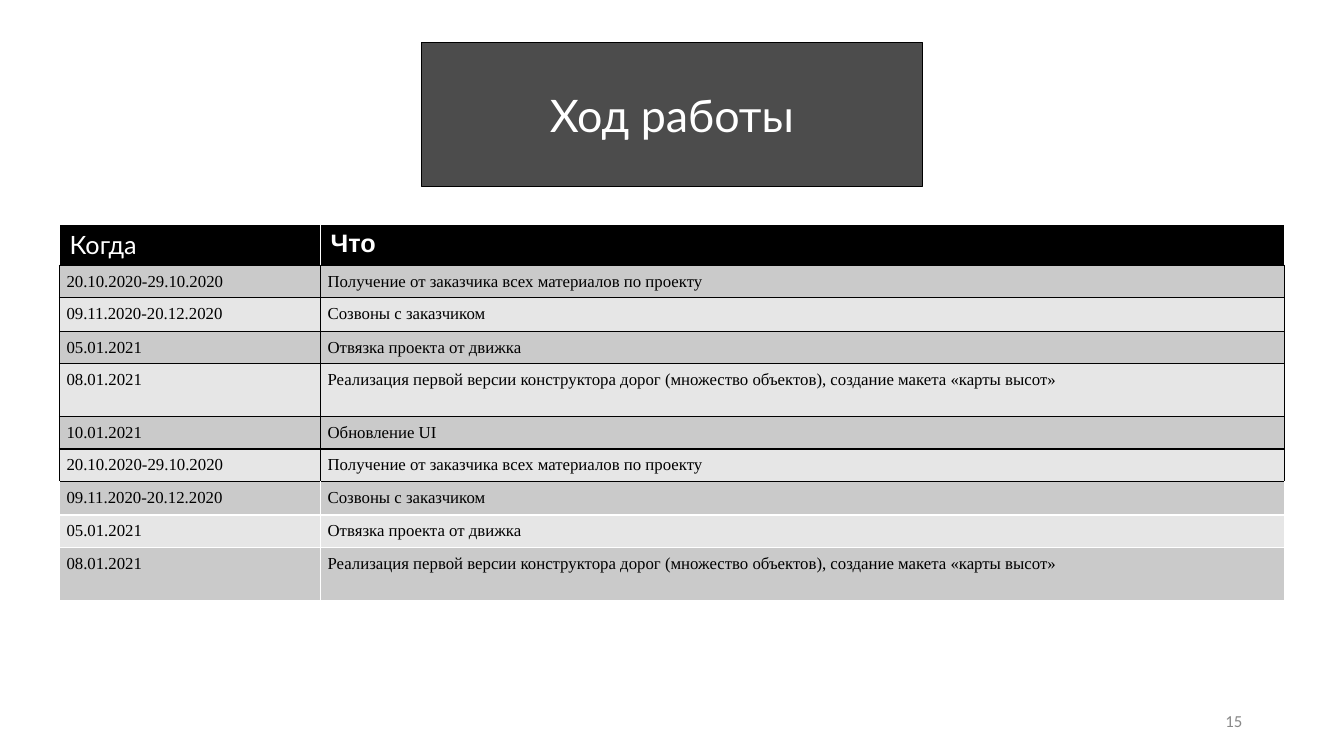
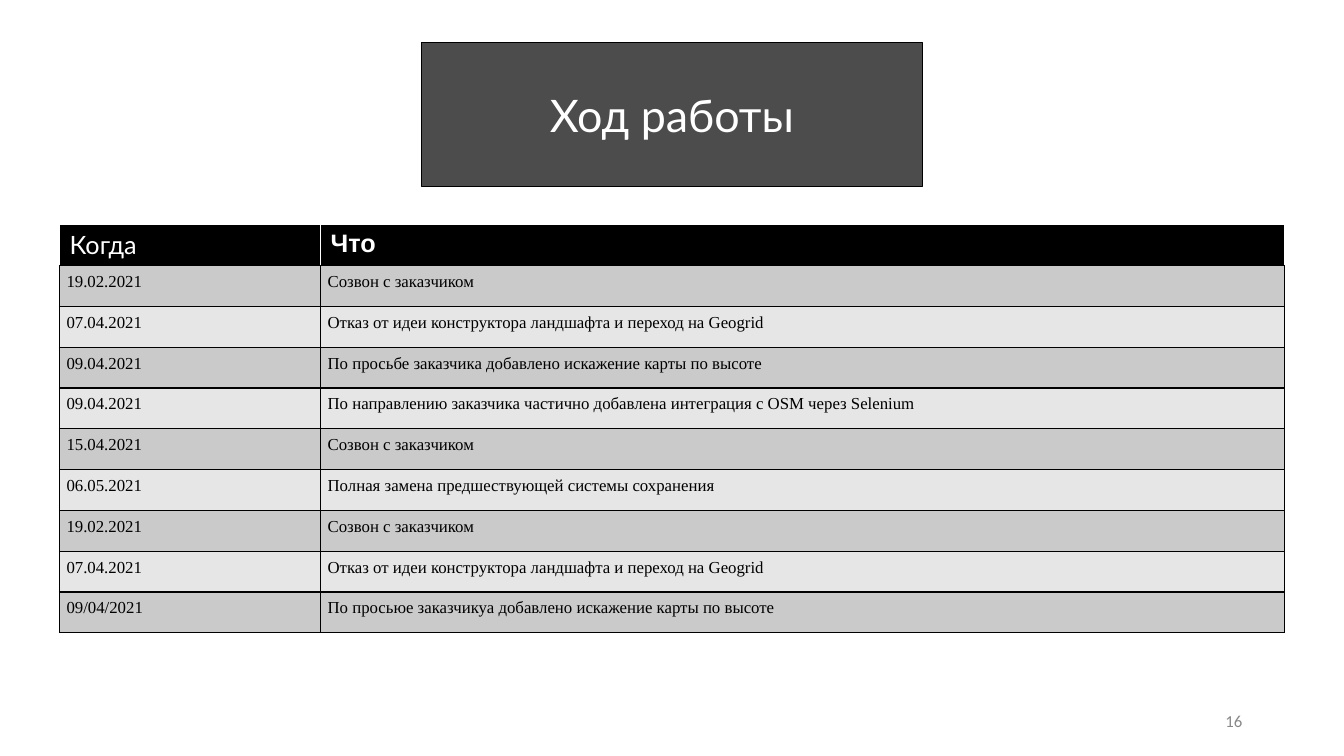
from lxml import etree
from pptx import Presentation
from pptx.dml.color import RGBColor
from pptx.enum import text
from pptx.oxml import ns
from pptx.util import Inches, Pt

# Shared colours and text formats
BLACK = RGBColor(0x00, 0x00, 0x00)
WHITE = RGBColor(0xFF, 0xFF, 0xFF)
GREY = RGBColor(0x88, 0x88, 0x88)
BANDS = (RGBColor(0xCA, 0xCA, 0xCA), RGBColor(0xE6, 0xE6, 0xE6))

TITLE_FONT = {"name": "Lato", "size": Pt(32), "bold": False}
WHEN_FONT = {"name": "Lato", "size": Pt(18), "bold": False}
WHAT_FONT = {"name": "Arial", "size": Pt(18), "bold": True}
ENTRY_FONT = {"name": "Times New Roman", "size": Pt(12), "bold": False}
NUMBER_FONT = {"name": "Calibri", "size": Pt(12), "bold": False}

TITLE = "Ход работы"
HEADINGS = (("Когда", WHEN_FONT), ("Что", WHAT_FONT))
COLUMN_WIDTHS = (2.59, 9.56)

# Work logs
AUTUMN_START = [
    ("20.10.2020-29.10.2020", "Получение от заказчика всех материалов по проекту"),
    ("09.11.2020-20.12.2020", "Созвоны с заказчиком"),
    ("05.01.2021", "Отвязка проекта от движка"),
    ("08.01.2021", "Реализация первой версии конструктора дорог "
                   "(множество объектов), создание макета «карты высот»"),
]
AUTUMN_LOG = AUTUMN_START + [("10.01.2021", "Обновление UI")] + AUTUMN_START
AUTUMN_HEIGHTS = [0.4] + 2 * ([0.32, 0.33, 0.32, 0.52, 0.32])[:4]
AUTUMN_HEIGHTS.insert(5, 0.32)

SPRING_LOG = [
    ("19.02.2021", "Созвон с заказчиком"),
    ("07.04.2021", "Отказ от идеи конструктора ландшафта и переход на Geogrid"),
    ("09.04.2021", "По просьбе заказчика добавлено искажение карты по высоте"),
    ("09.04.2021", "По направлению заказчика частично добавлена интеграция "
                   "с OSM через Selenium"),
    ("15.04.2021", "Созвон с заказчиком"),
    ("06.05.2021", "Полная замена предшествующей системы сохранения"),
    ("19.02.2021", "Созвон с заказчиком"),
    ("07.04.2021", "Отказ от идеи конструктора ландшафта и переход на Geogrid"),
    ("09/04/2021", "По просьюе заказчикуа добавлено искажение карты по высоте"),
]
SPRING_HEIGHTS = [4.05 / 10] * 10


def write(frame, words, font_format, color, align):
    """Put one formatted paragraph into a text frame."""
    paragraph = frame.paragraphs[0]
    paragraph.alignment = align
    run = paragraph.add_run()
    run.text = words
    for attribute, value in font_format.items():
        setattr(run.font, attribute, value)
    run.font.color.rgb = color


def place(shape, left, top, width, height):
    shape.left, shape.top = Inches(left), Inches(top)
    shape.width, shape.height = Inches(width), Inches(height)


def add_title(slide):
    title = slide.shapes.title
    place(title, 4.18, 0.42, 4.97, 1.43)
    title.fill.solid()
    title.fill.fore_color.rgb = BLACK
    # Let 30 % of the background through the black fill
    black = title.fill._xPr.find(".//" + ns.qn("a:srgbClr"))
    etree.SubElement(black, ns.qn("a:alpha"), val="70000")
    title.line.color.rgb = BLACK
    title.line.width = Pt(1)
    frame = title.text_frame
    frame.word_wrap = True
    frame.auto_size = text.MSO_AUTO_SIZE.NONE
    frame.vertical_anchor = text.MSO_ANCHOR.MIDDLE
    write(frame, TITLE, TITLE_FONT, WHITE, text.PP_ALIGN.CENTER)


def add_page_number(slide, number):
    box = slide.shapes.add_textbox(Inches(9.42), Inches(6.95), Inches(3), Inches(0.4))
    frame = box.text_frame
    frame.word_wrap = True
    frame.vertical_anchor = text.MSO_ANCHOR.MIDDLE
    write(frame, str(number), NUMBER_FONT, GREY, text.PP_ALIGN.RIGHT)


def set_borders(cell, sides, top, bottom):
    """Draw 1 pt borders; they must precede the fill in the cell properties."""
    properties = cell._tc.get_or_add_tcPr()
    edges = {"lnL": sides, "lnR": sides, "lnT": top, "lnB": bottom}
    for position, (edge, color) in enumerate(edges.items()):
        border = etree.Element(ns.qn("a:" + edge), w=str(Pt(1)))
        fill = etree.SubElement(border, ns.qn("a:solidFill"))
        etree.SubElement(fill, ns.qn("a:srgbClr"), val=str(color))
        properties.insert(position, border)


def fill_cell(cell, words, font_format, color, background, align):
    cell.fill.solid()
    cell.fill.fore_color.rgb = background
    write(cell.text_frame, words, font_format, color, align)


def add_log(slide, log, heights, ruled_rows):
    """Add the table; rows after the ruled ones have white borders."""
    table = slide.shapes.add_table(
        len(log) + 1, len(HEADINGS), Inches(0.59), Inches(2.23),
        Inches(sum(COLUMN_WIDTHS)), Inches(sum(heights))).table
    table.horz_banding = False
    for column, width in zip(table.columns, COLUMN_WIDTHS):
        column.width = Inches(width)
    for row, height in zip(table.rows, heights):
        row.height = Inches(height)

    # Heading row
    for column, (heading, font_format) in enumerate(HEADINGS):
        cell = table.cell(0, column)
        fill_cell(cell, heading, font_format, WHITE, BLACK, text.PP_ALIGN.LEFT)
        set_borders(cell, WHITE, WHITE, BLACK)

    # Dated entries
    for row, entry in enumerate(log, start=1):
        sides = BLACK if row <= ruled_rows else WHITE
        top = BLACK if row <= ruled_rows + 1 else WHITE
        for column, words in enumerate(entry):
            cell = table.cell(row, column)
            cell.margin_left = cell.margin_right = Inches(0.07)
            cell.margin_top = cell.margin_bottom = Inches(0.07)
            fill_cell(cell, words, ENTRY_FONT, BLACK,
                      BANDS[(row - 1) % 2], text.PP_ALIGN.JUSTIFY)
            set_borders(cell, sides, top, sides)


def main():
    prs = Presentation()
    prs.slide_width, prs.slide_height = Inches(13.33), Inches(7.5)
    title_only = prs.slide_layouts[5]
    pages = ((15, AUTUMN_LOG, AUTUMN_HEIGHTS, 6),
             (16, SPRING_LOG, SPRING_HEIGHTS, 9))
    for number, log, heights, ruled_rows in pages:
        slide = prs.slides.add_slide(title_only)
        add_title(slide)
        add_log(slide, log, heights, ruled_rows)
        add_page_number(slide, number)
    prs.save("out.pptx")


if __name__ == "__main__":
    main()
